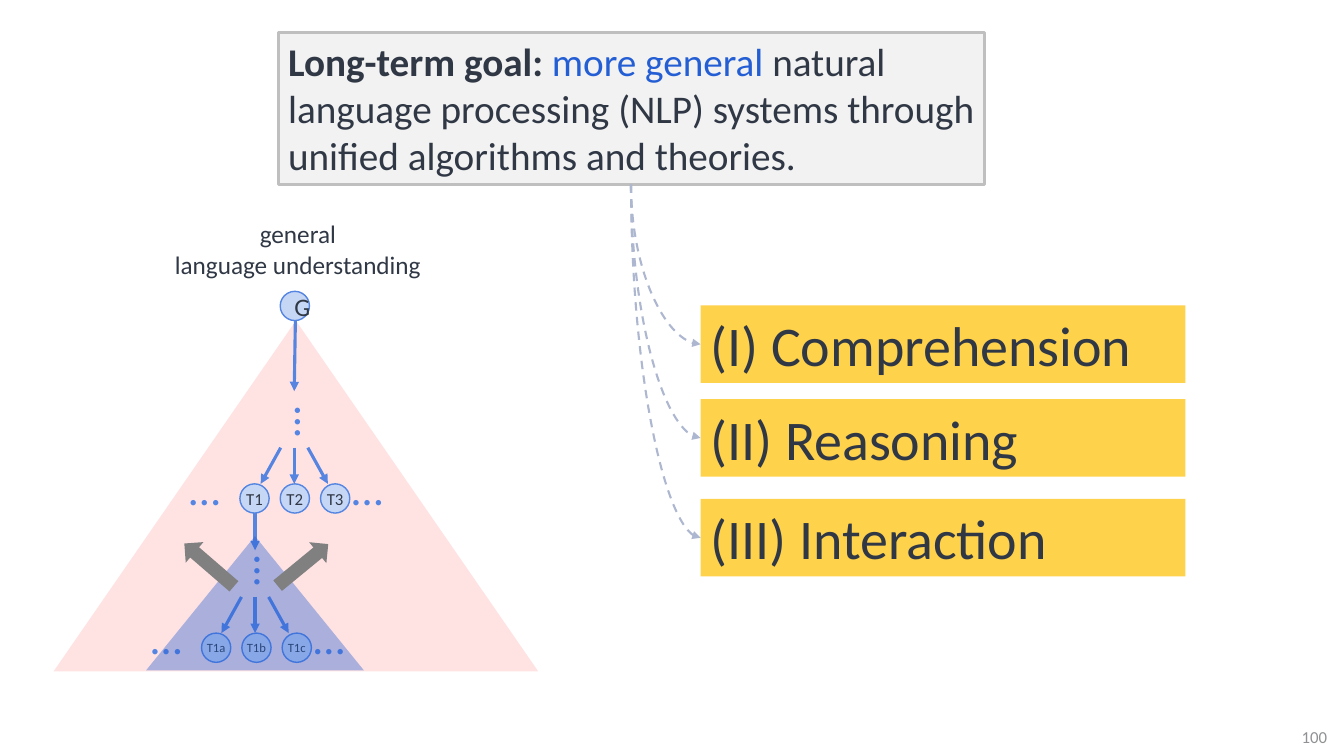
"""Build the slide on the long-term goal of general language understanding."""
from dataclasses import dataclass

from lxml import etree
from pptx import Presentation
from pptx.dml.color import RGBColor
from pptx.enum.dml import MSO_LINE
from pptx.enum.shapes import MSO_CONNECTOR, MSO_SHAPE
from pptx.enum.text import MSO_ANCHOR, PP_ALIGN
from pptx.oxml.ns import qn
from pptx.util import Pt

RECTANGLE, ELLIPSE = MSO_SHAPE.RECTANGLE, MSO_SHAPE.OVAL
TRIANGLE, BLOCK_ARROW = MSO_SHAPE.ISOSCELES_TRIANGLE, MSO_SHAPE.RIGHT_ARROW
STRAIGHT, CURVE = MSO_CONNECTOR.STRAIGHT, MSO_CONNECTOR.CURVE
LEFT, CENTER = PP_ALIGN.LEFT, PP_ALIGN.CENTER
TOP, MIDDLE = MSO_ANCHOR.TOP, MSO_ANCHOR.MIDDLE
DASH = MSO_LINE.DASH

COLORS = {
    "ink": "303845",
    "highlight": "245ED4",
    "page_number": "8F9194",
    "goal_fill": "F2F2F2",
    "goal_line": "BFBFBF",
    "general": "FF0000",
    "specific": "255ED3",
    "node_fill": "C6D6F5",
    "node_line": "5485E1",
    "dots": "5485E2",
    "tree_arrow": "5685E1",
    "block_arrow": "808080",
    "theme": "FFC000",
    "curve": "AEB7D0",
}
NODE_SIZE, NODE_STEP = 20.9, 28.8
GOAL_BOTTOM = (450.7, 131.8)
THEME_LEFT, THEME_WIDTH, THEME_HEIGHT = 500.4, 346.3, 55.4


@dataclass
class Level:
    center: float
    fan_center: float
    top: float
    labels: tuple[str, ...]
    size: float
    dots_center: tuple[float, float]


@dataclass
class Theme:
    text: str
    top: float


LEVELS = (
    Level(210.6, 210.2, 345.6, ("T1", "T2", "T3"), 12, (201.6, 301.7)),
    Level(183.2, 182.2, 452.2, ("T1a", "T1b", "T1c"), 9, (172.8, 408.2)),
)
THEMES = (
    Theme("(I) Comprehension", 218.2),
    Theme("(II) Reasoning", 285.1),
    Theme("(III) Interaction", 356.4),
)


def color_of(name: str) -> RGBColor:
    return RGBColor.from_string(COLORS[name])


def write(shape, text: str, *, size: float, color: str = "ink", bold: bool = False,
          align=CENTER, anchor=TOP, wrap: bool = True, inset: float | None = None) -> None:
    frame = shape.text_frame
    frame.word_wrap = wrap
    frame.vertical_anchor = anchor
    if inset is not None:
        frame.margin_left = frame.margin_right = Pt(inset)
        frame.margin_top = frame.margin_bottom = Pt(inset)
    paragraph = frame.paragraphs[0]
    paragraph.alignment = align
    for index, line in enumerate(text.split("\n")):
        if index:
            paragraph.add_line_break()
        run = paragraph.add_run()
        run.text = line
        run.font.name = "Calibri"
        run.font.size = Pt(size)
        run.font.bold = bold
        run.font.color.rgb = color_of(color)


def add_text_box(slide, left: float, top: float, width: float, height: float):
    return slide.shapes.add_textbox(Pt(left), Pt(top), Pt(width), Pt(height))


def add_figure(slide, kind, left: float, top: float, width: float, height: float, *,
               fill: str, opacity: int = 100, line: str | None = None,
               line_width: float = 1, rotation: float = 0):
    shape = slide.shapes.add_shape(kind, Pt(left), Pt(top), Pt(width), Pt(height))
    shape.shadow.inherit = False
    shape.rotation = rotation
    shape.fill.solid()
    shape.fill.fore_color.rgb = color_of(fill)
    if opacity < 100:
        color = shape.fill._xPr.find(qn("a:solidFill"))[0]
        etree.SubElement(color, qn("a:alpha"), val=str(opacity * 1000))
    if line:
        shape.line.color.rgb = color_of(line)
        shape.line.width = Pt(line_width)
    else:
        shape.line.fill.background()
    return shape


def add_arrow(slide, start: tuple[float, float], end: tuple[float, float], *,
              kind=STRAIGHT, color: str = "tree_arrow", width: float = 2.25, dash=None):
    connector = slide.shapes.add_connector(
        kind, Pt(start[0]), Pt(start[1]), Pt(end[0]), Pt(end[1]))
    connector.line.color.rgb = color_of(color)
    connector.line.width = Pt(width)
    if dash:
        connector.line.dash_style = dash
    etree.SubElement(connector.line._get_or_add_ln(), qn("a:tailEnd"), type="triangle")
    etree.SubElement(connector._element.spPr, qn("a:effectLst"))
    return connector


def add_curve(slide, start: tuple[float, float], end: tuple[float, float]) -> None:
    center_x, center_y = (start[0] + end[0]) / 2, (start[1] + end[1]) / 2
    half_width, half_height = (end[0] - start[0]) / 2, (end[1] - start[1]) / 2
    connector = add_arrow(
        slide, (center_x + half_height, center_y - half_width),
        (center_x - half_height, center_y + half_width),
        kind=CURVE, color="curve", width=1.5, dash=DASH)
    properties = connector._element.spPr
    properties.find(qn("a:xfrm")).set("rot", str(270 * 60000))
    properties.find(qn("a:prstGeom")).set("prst", "curvedConnector2")


def add_node(slide, center: float, top: float, text: str, size: float,
             inset: float | None = 0) -> None:
    node = add_figure(slide, ELLIPSE, center - NODE_SIZE / 2, top, NODE_SIZE, NODE_SIZE,
                      fill="node_fill", line="node_line")
    write(node, text, size=size, anchor=MIDDLE, inset=inset)


def add_dots(slide, center_x: float, center_y: float, rotation: float = 0) -> None:
    box = add_text_box(slide, center_x - 31, center_y - 23, 62, 46)
    box.rotation = rotation
    write(box, "…", size=32, color="dots")


def add_level(slide, level: Level) -> None:
    for offset in (-64.4, 51.8):
        add_dots(slide, level.center + offset, level.top + 2.9)
    add_dots(slide, *level.dots_center, rotation=270)
    for side, label in zip((-1, 0, 1), level.labels):
        add_node(slide, level.center + side * NODE_STEP, level.top, label, level.size)
        add_arrow(slide, (level.fan_center + side * 9.7, level.top - 25.8),
                  (level.fan_center + side * 24, level.top))


def add_tree(slide) -> None:
    general = add_figure(slide, TRIANGLE, 38.2, 229, 346.3, 250.6, fill="general", opacity=11)
    general.adjustments[0] = 0.5
    label = add_text_box(slide, 114.5, 152.6, 196.6, 51.1)
    write(label, "general\nlanguage understanding", size=18, wrap=False)
    add_node(slide, 210.6, 208.1, "G", 18, inset=None)
    for level in LEVELS:
        add_level(slide, level)
    add_arrow(slide, (211, 229), (210.2, 279.4))
    add_arrow(slide, (182.2, 366.5), (182.2, 393.1))
    add_figure(slide, TRIANGLE, 104.4, 383, 155.5, 95.8, fill="specific", opacity=39)
    for left, rotation in ((126, 220.8), (193, 320.6)):
        add_figure(slide, BLOCK_ARROW, left, 393.8, 46.8, 19.4,
                   fill="block_arrow", rotation=rotation)


def add_goal(slide) -> None:
    goal = add_figure(slide, RECTANGLE, 198.7, 23, 504.7, 108.7,
                      fill="goal_fill", line="goal_line", line_width=2.25)
    write(goal, "Long-term goal: ", size=28, bold=True, align=LEFT)
    write(goal, "more general ", size=28, color="highlight", align=LEFT)
    write(goal, "natural language processing (NLP) systems through "
                "unified algorithms and theories.", size=28, align=LEFT)


def main() -> None:
    presentation = Presentation()
    presentation.slide_width, presentation.slide_height = Pt(960), Pt(540)
    slide = presentation.slides.add_slide(presentation.slide_layouts[6])
    page_number = add_text_box(slide, 918, 511.9, 41.8, 28.8)
    write(page_number, "100", size=12, color="page_number", anchor=MIDDLE)
    add_goal(slide)
    add_tree(slide)
    for theme in THEMES:
        box = add_figure(slide, RECTANGLE, THEME_LEFT, theme.top, THEME_WIDTH, THEME_HEIGHT,
                         fill="theme", opacity=70)
        write(box, theme.text, size=40, align=LEFT)
        add_curve(slide, GOAL_BOTTOM, (THEME_LEFT, theme.top + THEME_HEIGHT / 2))
    presentation.save("out.pptx")


if __name__ == "__main__":
    main()
